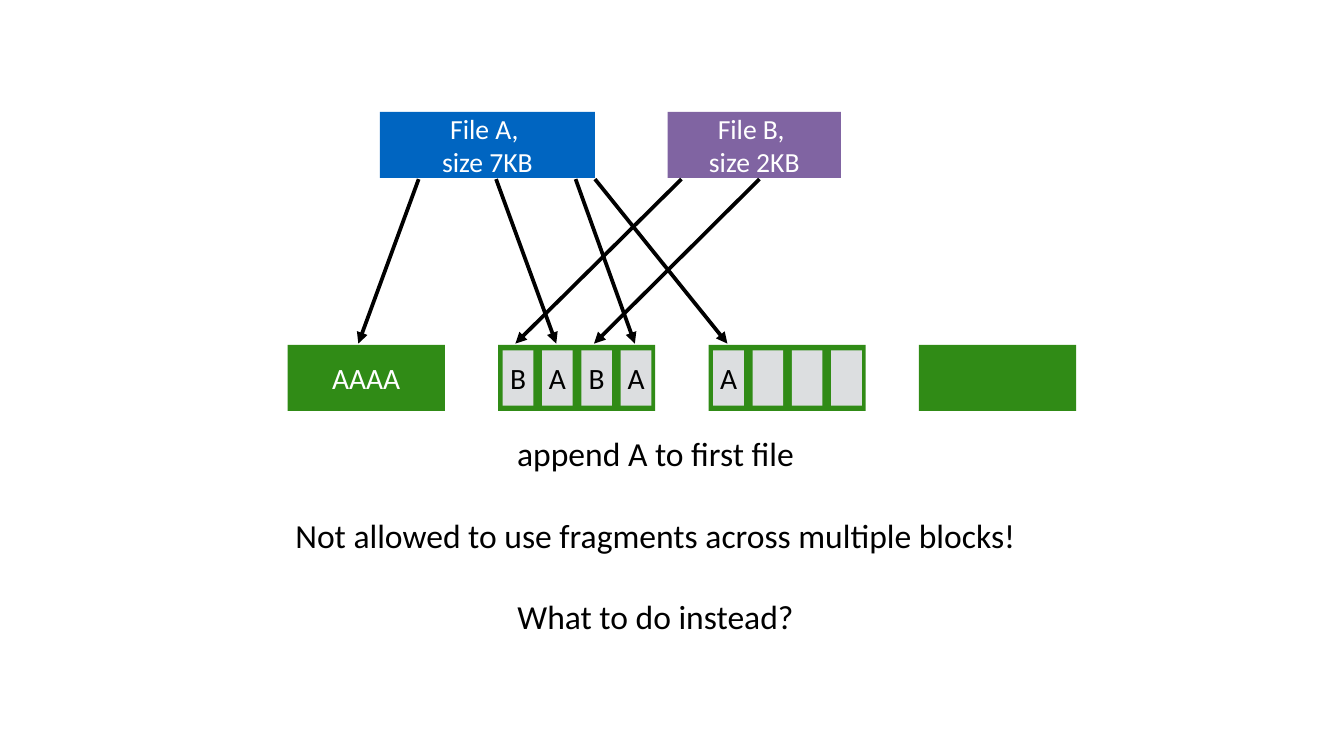
from collections import namedtuple

from lxml import etree
from pptx import Presentation
from pptx import util as u
from pptx.dml.color import RGBColor
from pptx.enum import shapes, text
from pptx.oxml.ns import qn

COLORS = {"block": "308B16", "file_a": "0065C1", "file_b": "8064A2",
          "slot": "DCDEE0", "light": "FFFFFF", "dark": "000000"}
FONT = "Calibri"
CELL = u.Inches(0.1)
COLUMNS, ROWS = 100, 56.25

Box = namedtuple("Box", "left top width height")


def to_emu(*cells):
    """Convert grid cells to slide lengths."""
    return [round(cell * CELL) for cell in cells]


def add_span(para, words, size, color):
    """Append one formatted run."""
    span = para.add_run()
    span.text = words
    span.font.name = FONT
    span.font.size = u.Pt(size)
    span.font.color.rgb = RGBColor.from_string(COLORS[color])


def set_frame(frame, margin, wrap):
    """Centre a text frame vertically and set its margins."""
    frame.word_wrap = wrap
    frame.vertical_anchor = text.MSO_ANCHOR.MIDDLE
    frame.margin_left = frame.margin_right = u.Inches(margin)
    frame.margin_top = frame.margin_bottom = u.Inches(margin)


def add_rectangle(page, box, fill, lines=(), size=15.8, color="light"):
    """Draw a filled rectangle with centred lines of text."""
    shape = page.shapes.add_shape(shapes.MSO_SHAPE.RECTANGLE, *to_emu(*box))
    shape.shadow.inherit = False
    shape.fill.solid()
    shape.fill.fore_color.rgb = RGBColor.from_string(COLORS[fill])
    shape.line.fill.background()
    set_frame(shape.text_frame, 0, True)
    para = shape.text_frame.paragraphs[0]
    para.alignment = text.PP_ALIGN.CENTER
    for index, line in enumerate(lines):
        if index:
            para.add_line_break()
        add_span(para, line, size, color)


def add_block(page, box, label="", slots=()):
    """Draw a disk block, whole or split into fragment slots."""
    add_rectangle(page, box, "block", [label] if label else [])
    for index, letter in enumerate(slots):
        slot = Box(box.left + box.width * (0.03 + 0.25 * index),
                   box.top + box.height * 0.08,
                   box.width * 0.195, box.height * 0.84)
        add_rectangle(page, slot, "slot", [letter] if letter else [], color="dark")


def add_pointer(page, source, start, target, end):
    """Draw an arrow between shares of a file's bottom and a block's top."""
    line = page.shapes.add_connector(
        shapes.MSO_CONNECTOR.STRAIGHT,
        *to_emu(source.left + source.width * start,
                source.top + source.height + 0.1,
                target.left + target.width * end, target.top - 0.1))
    line.line.width = u.Pt(2)
    line.line.color.rgb = RGBColor.from_string(COLORS["dark"])
    etree.SubElement(line.line._get_or_add_ln(), qn("a:tailEnd"), type="triangle")
    etree.SubElement(line._element.spPr, qn("a:effectLst"))


def add_notice(page, box, lines):
    """Write centred statements one blank line's height apart."""
    frame = page.shapes.add_textbox(*to_emu(*box)).text_frame
    set_frame(frame, 0.03, False)
    frame.auto_size = text.MSO_AUTO_SIZE.SHAPE_TO_FIT_TEXT
    for index, line in enumerate(lines):
        para = frame.paragraphs[0] if index == 0 else frame.add_paragraph()
        para.alignment = text.PP_ALIGN.CENTER
        para.space_before = u.Pt(22 if index else 0)
        add_span(para, line, 18, "dark")


def main():
    """Build the fragment allocation slide."""
    deck = Presentation()
    deck.slide_width, deck.slide_height = to_emu(COLUMNS, ROWS)
    page = deck.slides.add_slide(deck.slide_layouts[6])

    blocks = [Box(21.4 + 15.66 * index, 25.67, 11.7, 4.9) for index in range(4)]
    contents = [("AAAA", ()), ("", "BABA"), ("", ["A", "", "", ""]), ("", ())]
    for box, (label, slots) in zip(blocks, contents):
        add_block(page, box, label, slots)

    file_a, file_b = Box(28.27, 8.33, 16, 4.9), Box(49.67, 8.33, 12.9, 4.9)
    add_rectangle(page, file_a, "file_a", ["File A, ", "size 7KB"], 14.8)
    add_rectangle(page, file_b, "file_b", ["File B, ", "size 2KB"], 14.8)

    pointers = [(file_a, 0.18, 0, 0.45), (file_a, 0.54, 1, 0.37),
                (file_a, 0.91, 1, 0.87), (file_a, 1, 2, 0.12),
                (file_b, 0.08, 1, 0.11), (file_b, 0.53, 1, 0.61)]
    for source, start, block, end in pointers:
        add_pointer(page, source, start, blocks[block], end)

    add_notice(page, Box(21.33, 31.93, 54.9, 15.7), [
        "append A to first file",
        "Not allowed to use fragments across multiple blocks!",
        "What to do instead?"])
    deck.save("out.pptx")


if __name__ == "__main__":
    main()
